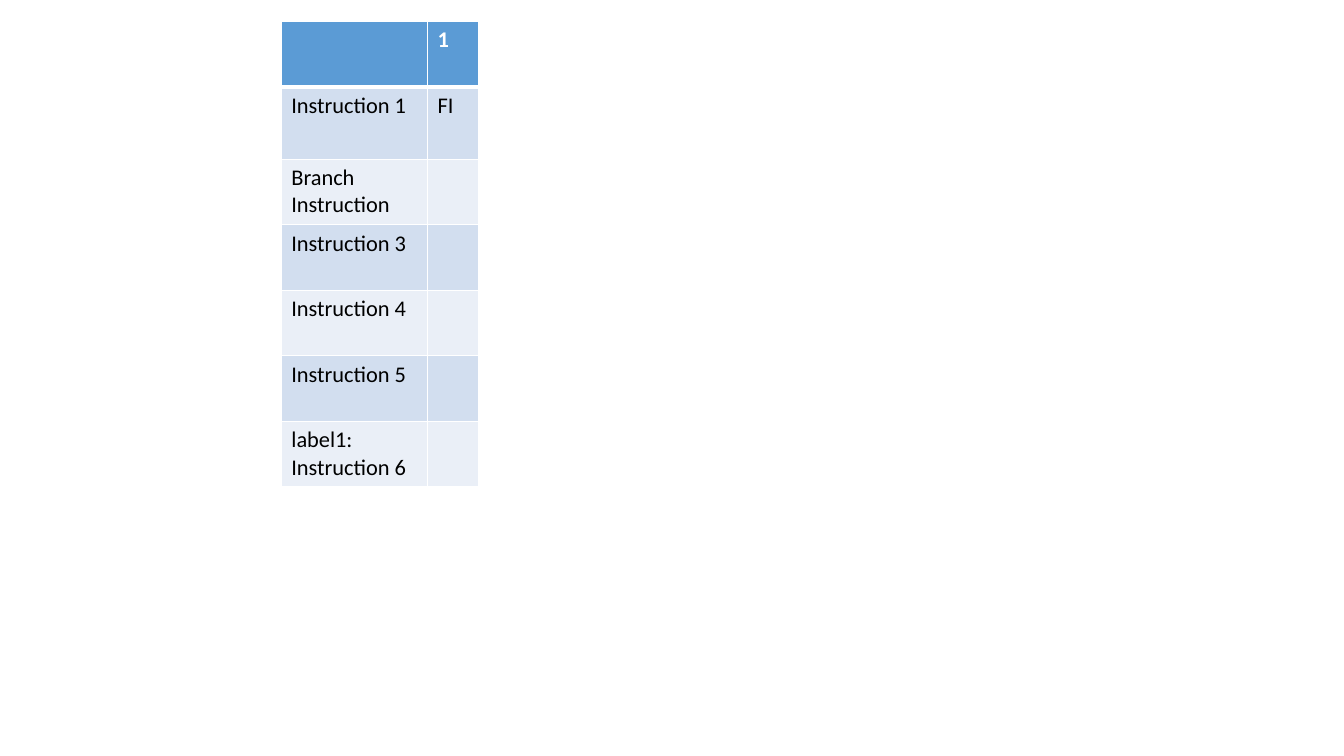
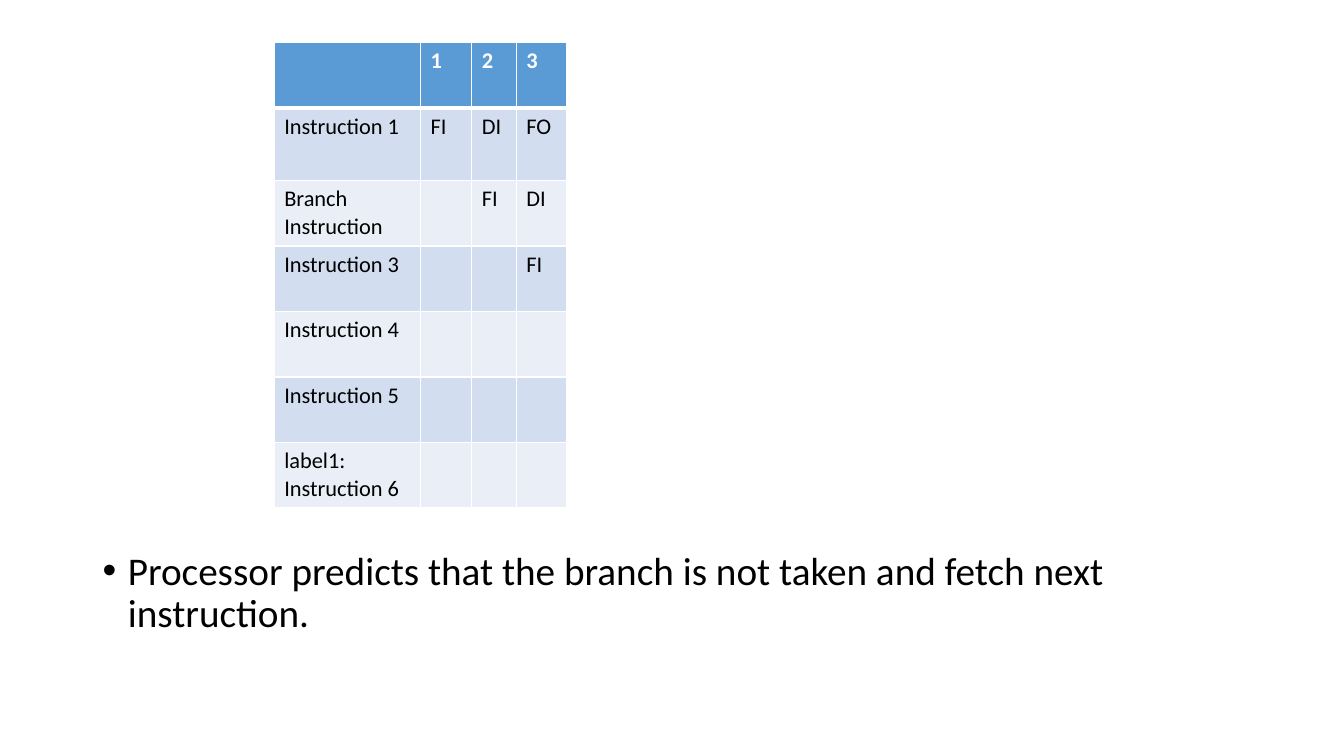
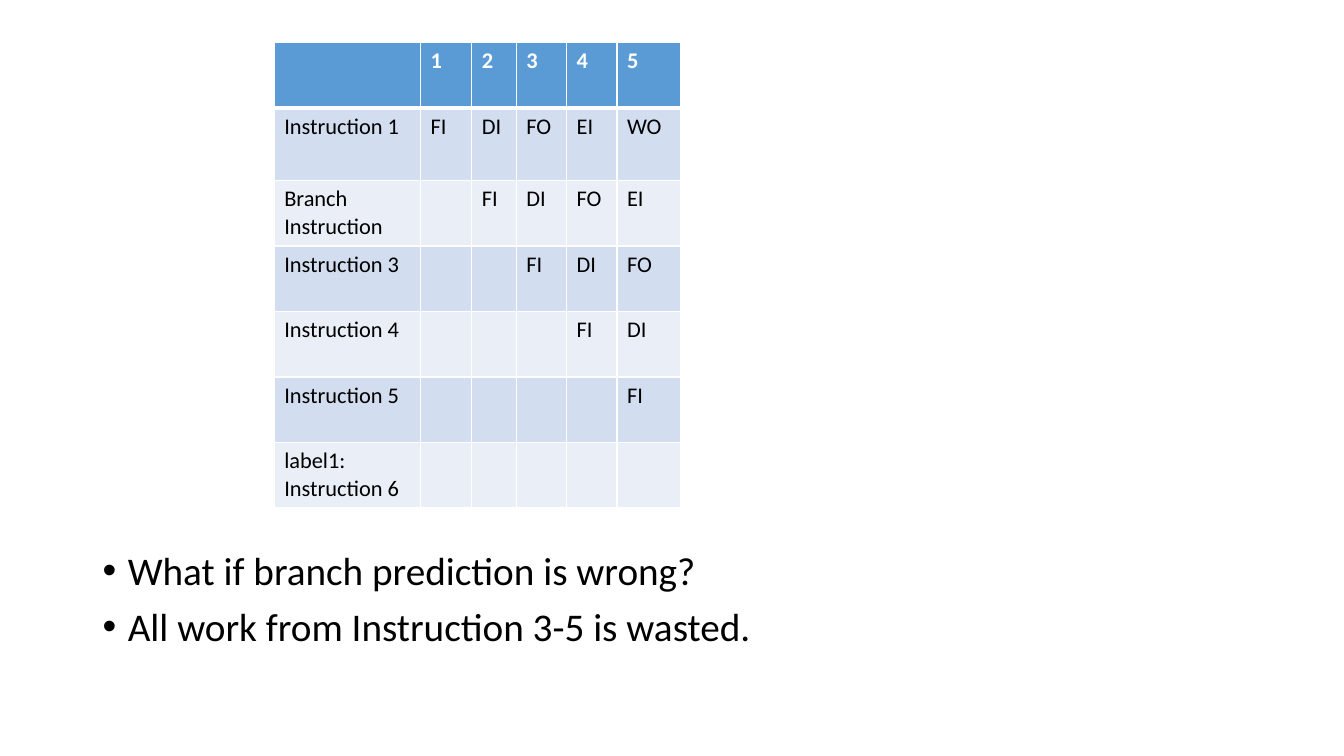
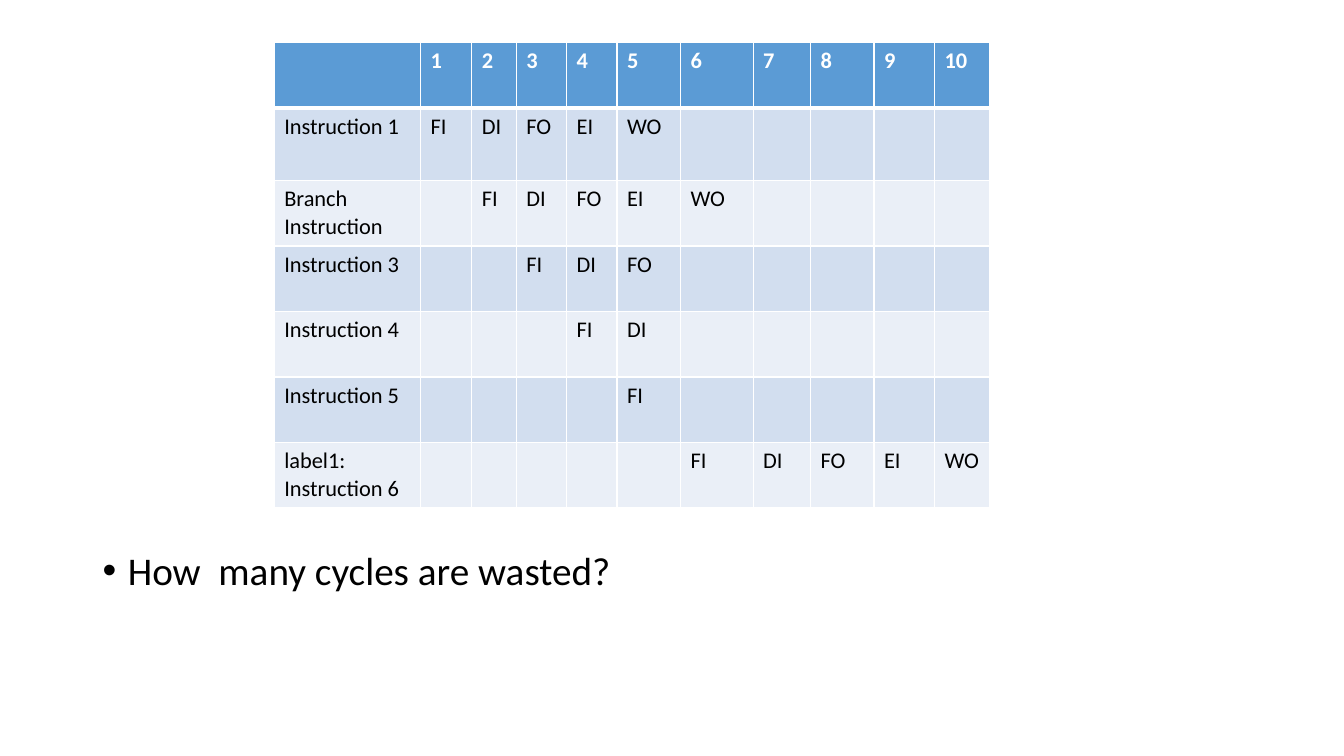
import pptx
import pptx.util
import pptx.dml.color
import pptx.oxml.ns
import lxml.etree

PX = 9144  # EMU per px, 100 px to the inch
COLORS = {"header": "5B9BD5", "odd": "D2DEEF", "even": "EAEFF7",
          "white": "FFFFFF", "black": "000000"}
HEADER = {"name": "Calibri", "size": pptx.util.Pt(16), "bold": True, "color": "white"}
CELL = {"name": "Calibri", "size": pptx.util.Pt(16), "bold": False, "color": "black"}
BODY = {"name": "Calibri", "size": pptx.util.Pt(28), "color": "black"}

# Pipeline: instruction n enters at cycle n and is in the pipe until its last cycle
STAGES = ["FI", "DI", "FO", "EI", "WO"]
INSTRUCTIONS = [("Instruction 1", 5), ("Branch Instruction", 6), ("Instruction 3", 5),
                ("Instruction 4", 5), ("Instruction 5", 5), ("label1: Instruction 6", 10)]
COL_WIDTHS = [145, 51, 44, 50, 50, 63, 72, 57, 63, 60, 55]
ROW_HEIGHTS = [65, 72, 65, 65, 65, 65, 65]

# Each slide: cycles shown, table left and top, bullets
SLIDES = [
    (1, 279, 21, []),
    (3, 272, 42, ["Processor predicts that the branch is not taken and fetch next instruction."]),
    (5, 272, 42, ["What if branch prediction is wrong?",
                  "All work from Instruction 3-5 is wasted."]),
    (10, 272, 42, ["How  many cycles are wasted?"]),
]


def add_run(p, text, style):
    r = p.add_run()
    r.text = text
    for key, value in style.items():
        if key == "color":
            r.font.color.rgb = pptx.dml.color.RGBColor.from_string(COLORS[value])
        else:
            setattr(r.font, key, value)


def style_cell(cell, fill, widths):
    tcPr = cell._tc.get_or_add_tcPr()
    for side, width in widths.items():
        ln = lxml.etree.SubElement(tcPr, pptx.oxml.ns.qn("a:" + side), w=str(pptx.util.Pt(width)))
        solid = lxml.etree.SubElement(ln, pptx.oxml.ns.qn("a:solidFill"))
        lxml.etree.SubElement(solid, pptx.oxml.ns.qn("a:srgbClr"), val=COLORS["white"])
    cell.fill.solid()
    cell.fill.fore_color.rgb = pptx.dml.color.RGBColor.from_string(COLORS[fill])


prs = pptx.Presentation()
prs.slide_width, prs.slide_height = 1333 * PX, 750 * PX

for cycles, left, top, bullets in SLIDES:
    s = prs.slides.add_slide(prs.slide_layouts[6])

    # Timing table
    widths = COL_WIDTHS[:cycles + 1]
    table = s.shapes.add_table(len(ROW_HEIGHTS), len(widths), left * PX, top * PX,
                               sum(widths) * PX, sum(ROW_HEIGHTS) * PX).table
    for col, width in zip(table.columns, widths):
        col.width = width * PX
    for row, height in zip(table.rows, ROW_HEIGHTS):
        row.height = height * PX

    rows = [[""] + [str(c) for c in range(1, cycles + 1)]]
    for start, (label, last) in enumerate(INSTRUCTIONS, 1):
        rows.append([label] + [STAGES[c - start] if start <= c <= last else ""
                               for c in range(1, cycles + 1)])

    for i, texts in enumerate(rows):
        fill = "header" if i == 0 else "odd" if i % 2 else "even"
        borders = {"lnL": 1, "lnR": 1, "lnT": 3 if i == 1 else 1, "lnB": 3 if i == 0 else 1}
        for j, text in enumerate(texts):
            cell = table.cell(i, j)
            style_cell(cell, fill, borders)
            if text:
                add_run(cell.text_frame.paragraphs[0], text, CELL if i else HEADER)

    # Bullets under the table
    if bullets:
        tf = s.shapes.add_textbox(92 * PX, 542 * PX, 1150 * PX, 136 * PX).text_frame
        tf.word_wrap = True
        for i, text in enumerate(bullets):
            p = tf.add_paragraph() if i else tf.paragraphs[0]
            pPr = p._p.get_or_add_pPr()
            pPr.set("marL", str(25 * PX))
            pPr.set("indent", str(-25 * PX))
            lxml.etree.SubElement(pPr, pptx.oxml.ns.qn("a:buFont"), typeface="Arial")
            lxml.etree.SubElement(pPr, pptx.oxml.ns.qn("a:buChar"), char="•")
            p.line_spacing = 0.9
            if i:
                p.space_before = pptx.util.Pt(10)
            add_run(p, text, BODY)

prs.save("out.pptx")
